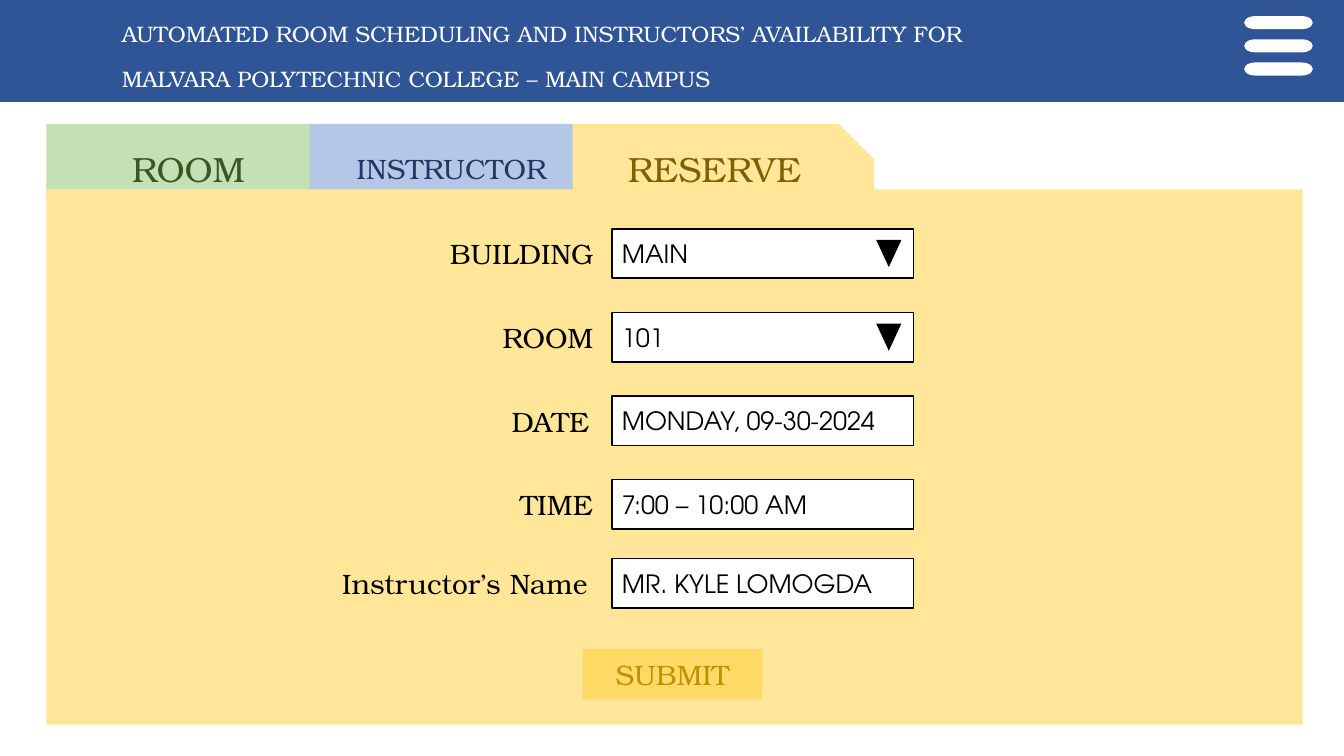
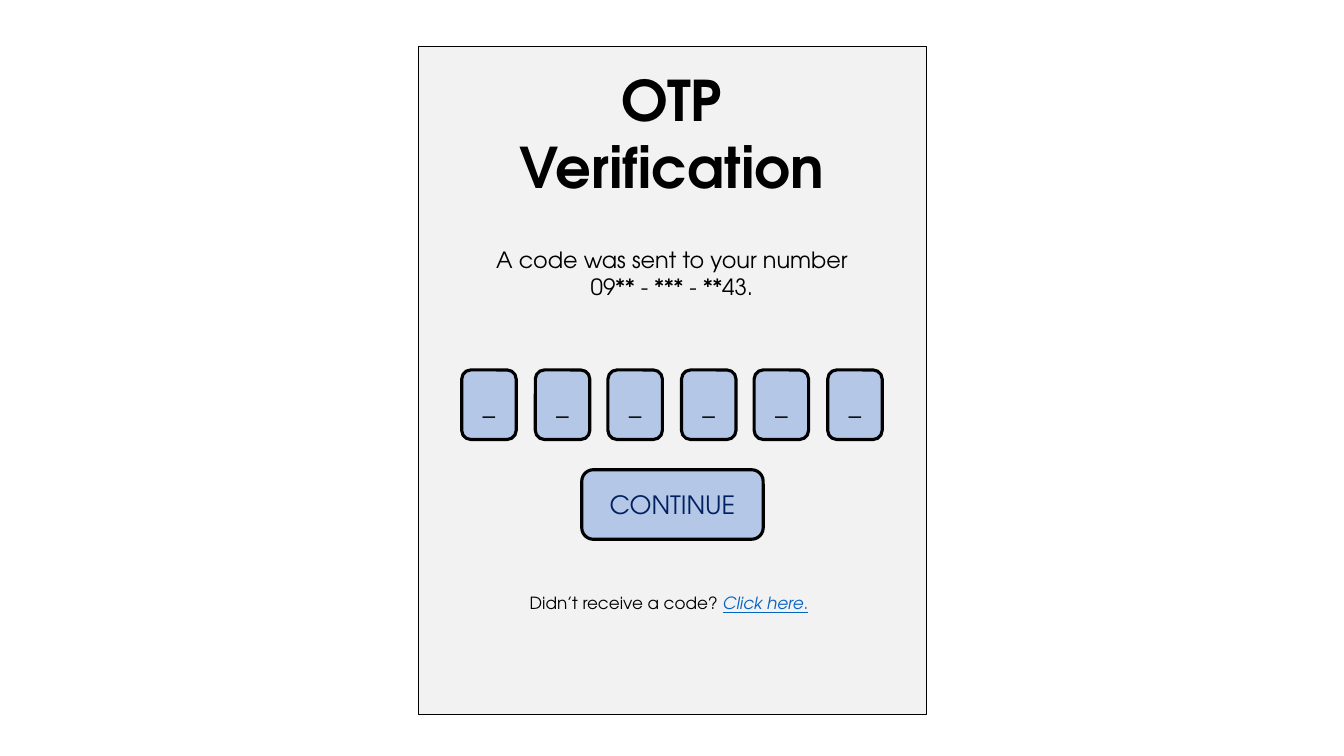
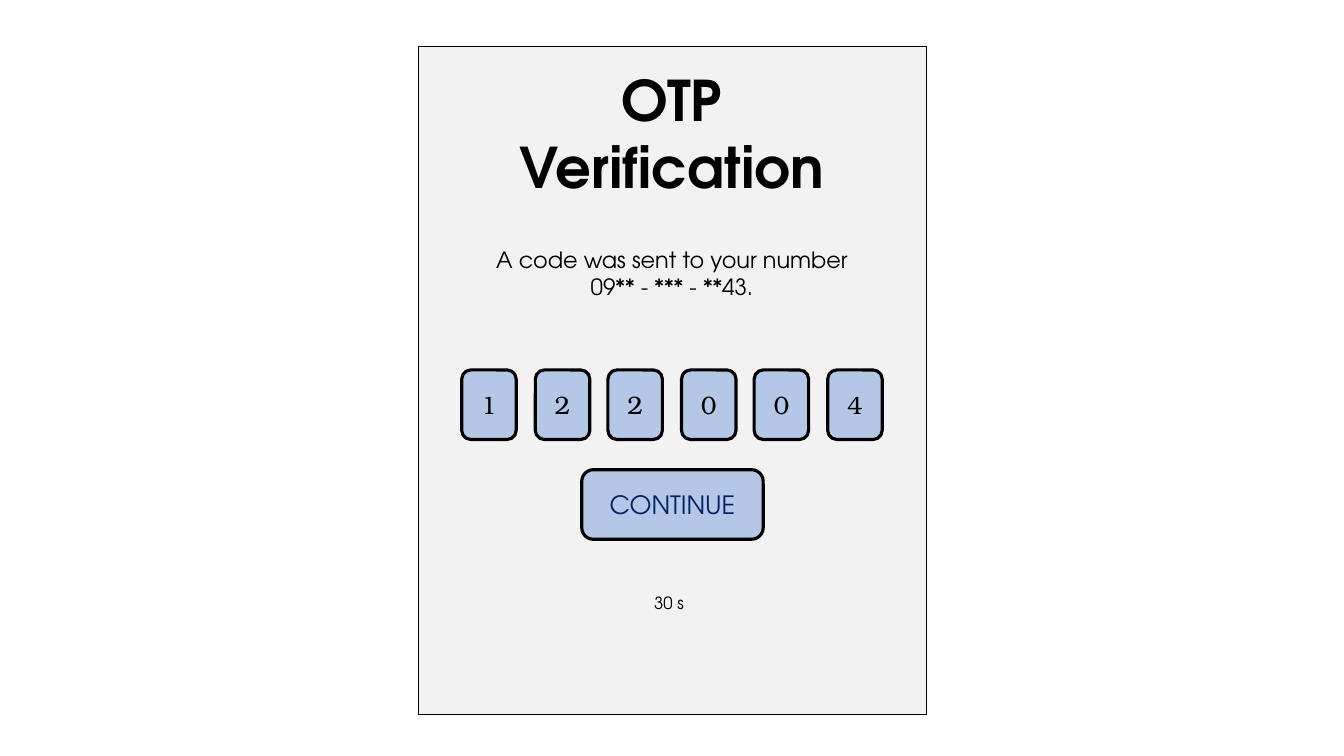
from pptx import Presentation
from pptx.dml.color import RGBColor
from pptx.enum.shapes import MSO_SHAPE
from pptx.enum.text import MSO_ANCHOR, MSO_AUTO_SIZE, PP_ALIGN
from pptx.util import Pt

PX = 9144
RECT = MSO_SHAPE.RECTANGLE
ROUND = MSO_SHAPE.ROUNDED_RECTANGLE
SNIP = MSO_SHAPE.SNIP_1_RECTANGLE
PILL = MSO_SHAPE.FLOWCHART_TERMINATOR
ARROW = MSO_SHAPE.ISOSCELES_TRIANGLE
TOP, MIDDLE = MSO_ANCHOR.TOP, MSO_ANCHOR.MIDDLE
LEFT, CENTER = PP_ALIGN.LEFT, PP_ALIGN.CENTER
FIXED = MSO_AUTO_SIZE.NONE

SERIF = "TeX Gyre Bonum"
SANS = "TeX Gyre Adventor"

BLACK = RGBColor(0x00, 0x00, 0x00)
WHITE = RGBColor(0xFF, 0xFF, 0xFF)
GRAY = RGBColor(0xF2, 0xF2, 0xF2)
BLUE = RGBColor(0x2F, 0x55, 0x97)
SKY = RGBColor(0xB4, 0xC7, 0xE7)
NAVY = RGBColor(0x20, 0x38, 0x64)
INK = RGBColor(0x00, 0x20, 0x60)
LINK = RGBColor(0x05, 0x63, 0xC1)
MINT = RGBColor(0xC5, 0xE0, 0xB4)
GREEN = RGBColor(0x38, 0x57, 0x23)
CREAM = RGBColor(0xFF, 0xE6, 0x99)
BROWN = RGBColor(0x80, 0x60, 0x00)
GOLD = RGBColor(0xFF, 0xD9, 0x66)
AMBER = RGBColor(0xBF, 0x90, 0x00)


def draw(slide, kind, left, top, width, height, fill, edge=0):
    shape = slide.shapes.add_shape(kind, left * PX, top * PX, width * PX, height * PX)
    shape.shadow.inherit = False
    shape.fill.solid()
    shape.fill.fore_color.rgb = fill
    if edge:
        shape.line.color.rgb = BLACK
        shape.line.width = Pt(edge)
    else:
        shape.line.fill.background()
    return shape


def write(shape, text, size, font, color=BLACK, align=CENTER, anchor=MIDDLE, place=None):
    if place:
        shape.left, shape.top, shape.width, shape.height = [n * PX for n in place]
    frame = shape.text_frame
    frame.word_wrap = True
    frame.auto_size = FIXED
    frame.vertical_anchor = anchor
    line = frame.paragraphs[0]
    line.alignment = align
    run = line.add_run()
    run.text = text
    run.font.size = Pt(size)
    run.font.name = font
    run.font.color.rgb = color
    return run


deck = Presentation()
deck.slide_width = 1333 * PX
deck.slide_height = 750 * PX
layout = deck.slide_layouts[5]

form = deck.slides.add_slide(layout)
band = draw(form, RECT, 0, 0, 1333, 101, BLUE)
title = form.shapes.title
write(title, "AUTOMATED ROOM SCHEDULING AND INSTRUCTORS’ AVAILABILITY FOR "
      "MALVARA POLYTECHNIC COLLEGE – MAIN CAMPUS",
      16, SERIF, WHITE, LEFT, TOP, (111, -4, 883, 100))
head = title.text_frame.paragraphs[0]
head.line_spacing = 1.7
head.space_before = Pt(10)
band._element.addnext(title._element)

for i in range(3):
    draw(form, PILL, 1234, 16 + 23 * i, 68, 13, WHITE)

tabs = [
    ("ROOM", 25, MINT, GREEN),
    ("INSTRUCTOR", 20, SKY, NAVY),
    ("RESERVE", 25, CREAM, BROWN),
]
for i, (name, size, fill, color) in enumerate(tabs):
    tab = draw(form, SNIP, 46 + 261 * i, 123, 299, 70, fill)
    tab.adjustments[0] = 0.5
    write(tab, name, size, SERIF, color)
draw(form, RECT, 46, 188, 1246, 531, CREAM)

fields = [
    ("BUILDING", 428, 179, 227, "MAIN", True),
    ("ROOM", 454, 179, 310, "101", True),
    ("DATE", 485, 122, 393, "MONDAY, 09-30-2024", False),
    ("TIME", 491, 122, 476, "7:00 – 10:00 AM", False),
    ("Instructor’s Name", 307, 308, 554, "MR. KYLE LOMOGDA", False),
]
for name, left, width, top, value, menu in fields:
    label = form.shapes.add_textbox(0, 0, 0, 0)
    write(label, name, 20, SERIF, anchor=TOP, place=(left, top + 3, width, 44))
    field = draw(form, RECT, 607, top, 299, 49, WHITE, 1)
    write(field, value, 18, SANS, align=LEFT)
    if menu:
        draw(form, ARROW, 869, top + 11, 25, 27, BLACK).rotation = 180

write(draw(form, RECT, 578, 644, 178, 50, GOLD), "SUBMIT", 20, SERIF, AMBER)

cards = [("______", "Didn’t receive a code? ", ["Click here", "."]), ("122004", "30 s", [])]
for code, note, links in cards:
    slide = deck.slides.add_slide(layout)
    card = draw(slide, RECT, 415, 46, 504, 663, GRAY, 1)
    title = slide.shapes.title
    write(title, "OTP Verification", 40, SANS, anchor=TOP,
          place=(461, 60, 411, 145)).font.bold = True
    card._element.addnext(title._element)

    sent = slide.shapes.add_textbox(0, 0, 0, 0)
    write(sent, "A code was sent to your number 09** - *** - **43.", 16, SANS,
          anchor=TOP, place=(461, 239, 411, 64))

    for i, digit in enumerate(code):
        cell = draw(slide, ROUND, 458 + round(72.6 * i), 367, 54, 69, SKY, 2.25)
        write(cell, digit, 18, SERIF)
    write(draw(slide, ROUND, 577, 466, 180, 69, SKY, 2.25), "CONTINUE", 18, SANS, INK)

    foot = slide.shapes.add_textbox(0, 0, 0, 0)
    write(foot, note, 12, SANS, anchor=TOP, place=(458, 583, 411, 30))
    for text in links:
        run = write(foot, text, 12, SANS, LINK, anchor=TOP)
        run.font.underline = True
        run.font.italic = text != "."

deck.save("out.pptx")
